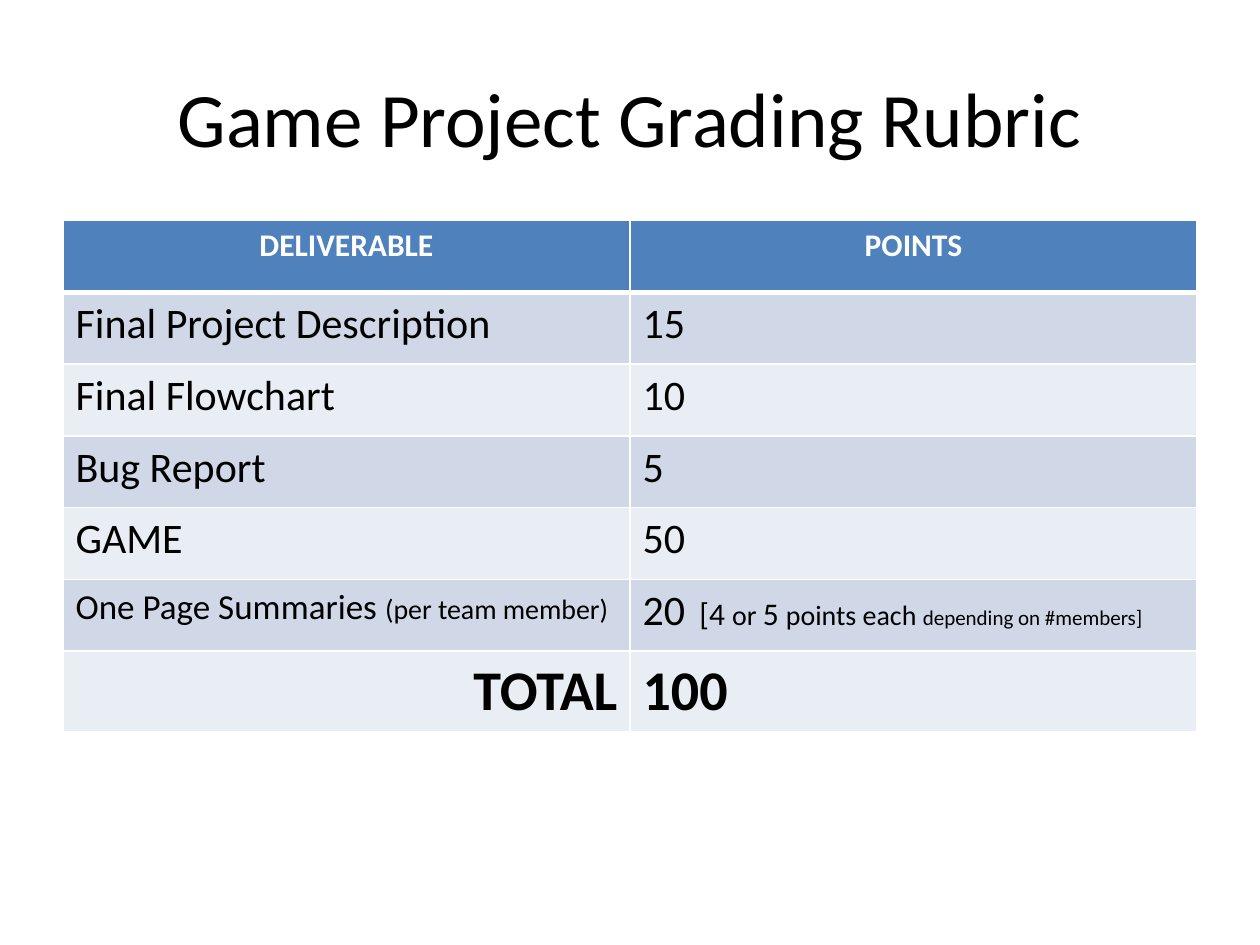
from lxml import etree
from pptx import Presentation
from pptx.dml.color import RGBColor
from pptx.enum.text import MSO_ANCHOR, PP_ALIGN as Align
from pptx.oxml.ns import qn
from pptx.util import Inches, Pt

TITLE = "Game Project Grading Rubric"
FONT = "Calibri"
COLORS = {"text": "000000", "white": "FFFFFF", "header": "4F81BD",
          "odd": "D0D8E8", "even": "E9EDF4"}

# Each cell is a list of (text, size) runs
HEADER = [[("DELIVERABLE", 18)], [("POINTS", 18)]]
DELIVERABLES = [
    [[("Final Project Description", 24)], [("15", 24)]],
    [[("Final Flowchart", 24)], [("10", 24)]],
    [[("Bug Report", 24)], [("5", 24)]],
    [[("GAME", 24)], [("50", 24)]],
    [[("One Page Summaries ", 20), ("(per team member)", 16)],
     [("20", 24), ("  [4 ", 18), ("or ", 16), ("5 ", 18),
      ("points each ", 16), ("depending on #members]", 12)]],
]
TOTAL = [[("TOTAL", 32)], [("100", 32)]]
ROWS = [HEADER, *DELIVERABLES, TOTAL]

LEFT, WIDTH = 0.5, 9
TABLE_TOP, ROW_HEIGHT, TOTAL_HEIGHT = 1.75, 0.57, 0.64


def rgb(name):
    return RGBColor.from_string(COLORS[name])


def write(paragraph, runs, color, bold=False, align=Align.LEFT):
    paragraph.alignment = align
    paragraph.font.name = FONT
    paragraph.font.bold = bold
    paragraph.font.color.rgb = rgb(color)
    for text, size in runs:
        run = paragraph.add_run()
        run.text = text
        run.font.size = Pt(size)
        # Table styles and defaults yield only to run settings
        run.font.name = FONT
        run.font.bold = bold
        run.font.color.rgb = rgb(color)


def set_borders(cell, bottom_width):
    properties = cell._tc.get_or_add_tcPr()
    widths = {"a:lnL": 1, "a:lnR": 1, "a:lnT": 1, "a:lnB": bottom_width}
    for position, (tag, width) in enumerate(widths.items()):
        line = etree.Element(qn(tag), w=str(Pt(width)))
        fill = etree.SubElement(line, qn("a:solidFill"))
        etree.SubElement(fill, qn("a:srgbClr"), val=COLORS["white"])
        properties.insert(position, line)


presentation = Presentation()
presentation.slide_width, presentation.slide_height = Inches(10), Inches(7.5)
slide = presentation.slides.add_slide(presentation.slide_layouts[6])

# Title
title = slide.shapes.add_textbox(Inches(LEFT), Inches(0.3), Inches(WIDTH), Inches(1.25))
title.text_frame.word_wrap = True
title.text_frame.vertical_anchor = MSO_ANCHOR.MIDDLE
write(title.text_frame.paragraphs[0], [(TITLE, 44)], "text", align=Align.CENTER)

# Rubric table
last = len(ROWS) - 1
heights = [ROW_HEIGHT] * last + [TOTAL_HEIGHT]
table = slide.shapes.add_table(len(ROWS), len(HEADER), Inches(LEFT), Inches(TABLE_TOP),
                               Inches(WIDTH), Inches(sum(heights))).table
for column in table.columns:
    column.width = Inches(WIDTH / len(HEADER))

for row_index, row in enumerate(ROWS):
    table.rows[row_index].height = Inches(heights[row_index])
    is_header, is_total = row is HEADER, row is TOTAL
    fill = "header" if is_header else "odd" if row_index % 2 else "even"
    for column_index, runs in enumerate(row):
        cell = table.cell(row_index, column_index)
        cell.fill.solid()
        cell.fill.fore_color.rgb = rgb(fill)
        set_borders(cell, 3 if is_header else 1)
        if is_header:
            align = Align.CENTER
        else:
            align = Align.RIGHT if is_total and column_index == 0 else Align.LEFT
        write(cell.text_frame.paragraphs[0], runs, "white" if is_header else "text",
              is_header or is_total, align)

# The rule under the header is shared with the first row below it
for cell in table.rows[1].cells:
    cell._tc.tcPr.find(qn("a:lnT")).set("w", str(Pt(3)))

presentation.save("out.pptx")
